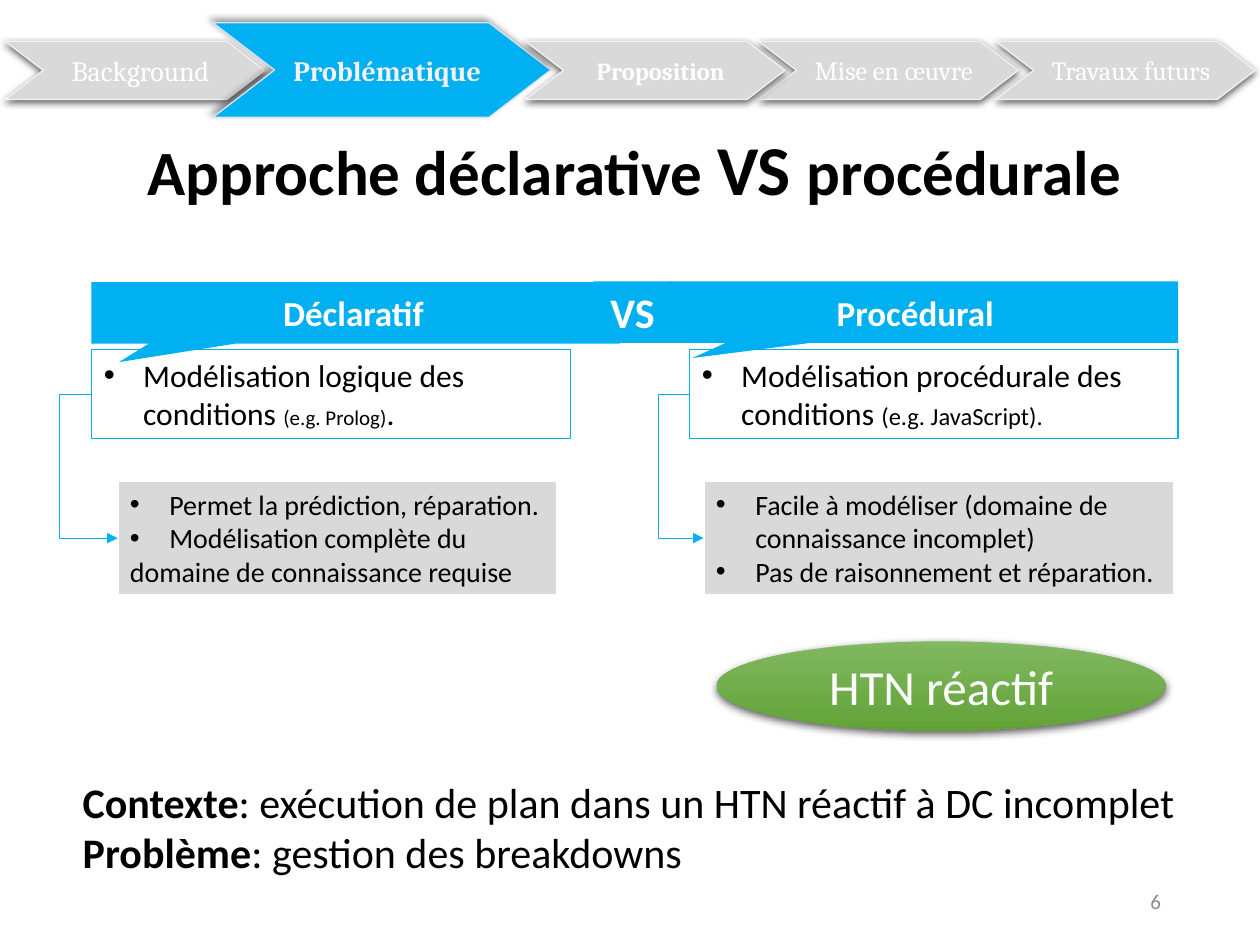
from lxml import etree
from pptx import Presentation
from pptx import util as u
from pptx.dml.color import RGBColor
from pptx.enum import shapes, text
from pptx.oxml.ns import qn

Pt = u.Pt
SHAPE = shapes.MSO_SHAPE
ALIGN = text.PP_ALIGN
MID, TOP = text.MSO_ANCHOR.MIDDLE, text.MSO_ANCHOR.TOP

THEME = {
    "blue": "00B0F0", "gray": "D9D9D9", "pale": "F2F2F2", "edge": "DAE3F3",
    "white": "FFFFFF", "black": "000000", "muted": "8C8C8C",
    "green": ("81B861", "62A336"),
    "body": "Calibri", "nav": "Cambria",
    "title": 36, "title_vs": 40, "head": 20, "vs": 24, "claim": 18,
    "detail": 16, "oval": 28, "conclusion": 24, "number": 12,
    "step": 16, "step_medium": 15, "step_small": 14,
}
T = THEME

# Content: a run is (text, size, bold)
TITLE = [("Approche déclarative ", T["title"], True), ("VS ", T["title_vs"], True),
         ("procédurale", T["title"], True)]
# Steps from back to front: label, left, size, bold
STEPS = [("Mise en œuvre", 433.5, T["step_medium"], False),
         ("Background", 3, T["step"], False),
         ("Problématique", 121.7, T["step"], True),
         ("Travaux futurs", 569, T["step_medium"], False),
         ("Proposition", 300.3, T["step_small"], True)]
ACTIVE = "Problématique"
COLUMNS = [
    {"head": "Déclaratif", "left": 52.2, "top": 161.2, "head_w": 197, "tail_w": 105,
     "tip": (-0.42, 0.8), "claim": (52.2, 273.8), "detail": (67.2, 251.2), "elbow": 34, "wrap": False,
     "claim_runs": [("Modélisation logique des conditions ", T["claim"], False),
                    ("(e.g. Prolog)", 12, False), (".", T["claim"], False)],
     "points": [("Permet la prédiction, réparation.", True), ("Modélisation complète du", True),
                ("domaine de connaissance requise", False)]},
    {"head": "Procédural", "left": 382.5, "top": 160.8, "head_w": 192.5, "tail_w": 98.2,
     "tip": (-0.432, 0.745), "claim": (394, 279.2), "detail": (402, 269.2), "elbow": 376, "wrap": True,
     "claim_runs": [("Modélisation procédurale des conditions ", T["claim"], False),
                    ("(e.g. JavaScript).", 14, False)],
     "points": [("Facile à modéliser (domaine de connaissance incomplet)", True),
                ("Pas de raisonnement et réparation.", True)]},
]
CONCLUSION = [("Contexte", ": exécution de plan dans un HTN réactif à DC incomplet"),
              ("Problème", ": gestion des breakdowns")]
CLAIM_TOP, CLAIM_H, DETAIL_TOP, DETAIL_H, HEAD_H = 199.8, 50.9, 274.8, 65.4, 35.2


def rgb(value):
    return RGBColor.from_string(value)


def add_bullet(p, indent=22.5):
    pPr = p._p.get_or_add_pPr()
    pPr.set("marL", str(Pt(indent)))
    pPr.set("indent", str(-Pt(indent)))
    etree.SubElement(pPr, qn("a:buFont")).set("typeface", "Arial")
    etree.SubElement(pPr, qn("a:buChar")).set("char", "•")


def write(sp, paragraphs, color, align=ALIGN.LEFT, anchor=TOP, wrap=True, font=T["body"]):
    """Fill a shape with paragraphs given as (runs, bulleted)."""
    tf = sp.text_frame
    tf.word_wrap, tf.vertical_anchor = wrap, anchor
    for i, (runs, bulleted) in enumerate(paragraphs):
        p = tf.add_paragraph() if i else tf.paragraphs[0]
        p.alignment = align
        if bulleted:
            add_bullet(p)
        for words, size, bold in runs:
            r = p.add_run()
            r.text = words
            r.font.name, r.font.size, r.font.bold = font, Pt(size), bold
            r.font.color.rgb = rgb(color)
    return tf


def add_shape(s, kind, box, fill=None, line=None, width=0.75):
    sp = s.shapes.add_shape(kind, *map(Pt, box))
    sp.shadow.inherit = False
    if fill:
        sp.fill.solid()
        sp.fill.fore_color.rgb = rgb(fill)
    else:
        sp.fill.background()
    if line:
        sp.line.color.rgb = rgb(line)
        sp.line.width = Pt(width)
    else:
        sp.line.fill.background()
    return sp


def add_shadow(sp, alpha, blur, dist, angle):
    effects = sp._element.spPr.find(qn("a:effectLst"))
    shadow = etree.SubElement(effects, qn("a:outerShdw"), blurRad=str(Pt(blur)),
                              dist=str(Pt(dist)), dir=str(angle * 60000), rotWithShape="0")
    color = etree.SubElement(shadow, qn("a:srgbClr"), val=T["black"])
    etree.SubElement(color, qn("a:alpha"), val=str(alpha * 1000))


def add_elbow(s, start, end, via_x):
    """Arrow that leaves start, turns at via_x and enters end."""
    points = [Pt(v) for v in (*start, *end)]
    c = s.shapes.add_connector(shapes.MSO_CONNECTOR.ELBOW, *points)
    c.line.color.rgb = rgb(T["blue"])
    c.line.width = Pt(0.5)
    etree.SubElement(c.line._get_or_add_ln(), qn("a:tailEnd"), type="triangle")
    spPr = c._element.spPr
    etree.SubElement(spPr, qn("a:effectLst"))
    geom = spPr.find(qn("a:prstGeom"))
    guides = geom.find(qn("a:avLst"))
    if guides is None:
        guides = etree.SubElement(geom, qn("a:avLst"))
    turn = round((via_x - start[0]) / (end[0] - start[0]) * 100000)
    etree.SubElement(guides, qn("a:gd"), name="adj1", fmla=f"val {turn}")


def add_column(s, col):
    # Heading: callout and its extension
    x, y, w = col["left"], col["top"], col["head_w"]
    head = add_shape(s, SHAPE.RECTANGULAR_CALLOUT, (x, y, w, HEAD_H), T["blue"])
    head.adjustments[0], head.adjustments[1] = col["tip"]
    write(head, [([(col["head"], T["head"], True)], False)], T["white"], ALIGN.RIGHT, MID)
    add_shape(s, SHAPE.RECTANGLE, (x + w, y, col["tail_w"], HEAD_H), T["blue"])
    # Claim, details and the arrow between them
    cx, cw = col["claim"]
    claim = add_shape(s, SHAPE.RECTANGLE, (cx, CLAIM_TOP, cw, CLAIM_H), line=T["blue"])
    write(claim, [(col["claim_runs"], True)], T["black"])
    dx, dw = col["detail"]
    detail = add_shape(s, SHAPE.RECTANGLE, (dx, DETAIL_TOP, dw, DETAIL_H), T["gray"], T["white"], 1.5)
    write(detail, [([(words, T["detail"], False)], dot) for words, dot in col["points"]],
          T["black"], wrap=col["wrap"])
    add_elbow(s, (cx, CLAIM_TOP + CLAIM_H / 2), (dx, DETAIL_TOP + DETAIL_H / 2), col["elbow"])


def add_step(s, label, left, size, bold):
    active = label == ACTIVE
    box = (left, 13, 193, 54) if active else (left, 23.6, 148.3, 33.2)
    fill, line, ink = ((T["blue"], T["edge"], T["pale"]) if active
                       else (T["gray"], T["pale"], T["white"]))
    sp = add_shape(s, SHAPE.CHEVRON, box, fill, line)
    sp.adjustments[0] = 0.652
    add_shadow(sp, *((40, 4, 3, 225) if active else (63, 4.5, 1.5, 90)))
    tf = write(sp, [([(label, size, bold)], False)], ink, ALIGN.CENTER, MID, False, T["nav"])
    tf.margin_left = Pt(7)
    tf.margin_right = tf.margin_top = tf.margin_bottom = Pt(0.7)


def main():
    prs = Presentation()
    prs.slide_width, prs.slide_height = Pt(720), Pt(540)
    s = prs.slides.add_slide(prs.slide_layouts[5])

    # Title
    title = s.shapes.title
    title.left, title.top, title.width, title.height = map(Pt, (52, 56, 621, 85))
    tf = write(title, [(TITLE, False)], T["black"], ALIGN.CENTER, MID)
    tf.paragraphs[0].line_spacing = 0.9

    # Comparison
    for col in COLUMNS:
        add_column(s, col)
    vs = add_shape(s, SHAPE.RECTANGLE, (339, 160.8, 45, HEAD_H), T["blue"])
    write(vs, [([("VS", T["vs"], True)], False)], T["white"], ALIGN.CENTER, MID)

    # Choice
    oval = add_shape(s, SHAPE.OVAL, (409.5, 366.5, 256.5, 51))
    oval.fill.gradient()
    oval.fill.gradient_angle = 270
    for stop, color in zip(oval.fill.gradient_stops, T["green"]):
        stop.color.rgb = rgb(color)
    add_shadow(oval, 63, 4.5, 1.5, 90)
    write(oval, [([("HTN réactif", T["oval"], False)], False)], T["white"], ALIGN.CENTER, MID)

    # Progress steps
    for step in STEPS:
        add_step(s, *step)

    # Conclusion and slide number
    box = s.shapes.add_textbox(*map(Pt, (40.2, 440, 643, 65.5)))
    size = T["conclusion"]
    write(box, [([(name, size, True), (words, size, False)], False) for name, words in CONCLUSION],
          T["black"], wrap=False)
    number = s.shapes.add_textbox(*map(Pt, (508.5, 500.5, 162, 29)))
    write(number, [([("6", T["number"], False)], False)], T["muted"], ALIGN.RIGHT, MID)

    prs.save("out.pptx")


if __name__ == "__main__":
    main()
